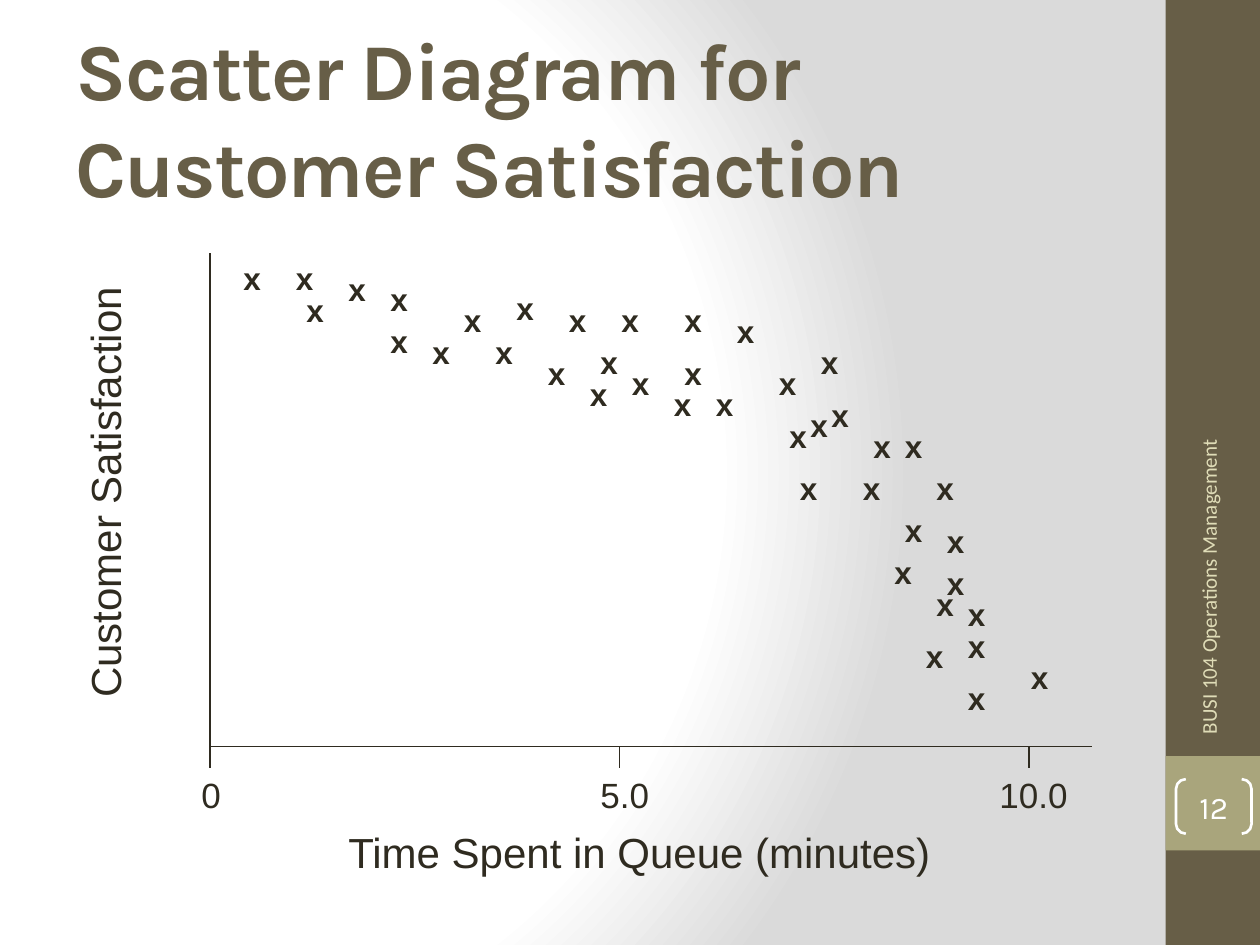
from lxml.etree import SubElement
from pptx import Presentation
from pptx.dml.color import RGBColor
from pptx.enum.shapes import MSO_CONNECTOR as Connector, MSO_SHAPE as Shape
from pptx.enum.text import MSO_ANCHOR as Anchor, MSO_AUTO_SIZE as AutoSize, PP_ALIGN as Align
from pptx.oxml import parse_xml
from pptx.oxml.ns import nsdecls, qn
from pptx.util import Emu, Pt

EMU_PER_PX = 7620
WHITE = RGBColor(0xFF, 0xFF, 0xFF)
GREY = RGBColor(0xDA, 0xDA, 0xDA)
BROWN = RGBColor(0x67, 0x5E, 0x47)
OLIVE = RGBColor(0xA9, 0xA5, 0x7C)
CREAM = RGBColor(0xDF, 0xDC, 0xB7)
INK = RGBColor(0x2F, 0x2B, 0x20)

AXIS_LEFT, AXIS_TOP, AXIS_RIGHT, AXIS_BASE = 200, 241, 1040, 711
TICK_BOTTOM = 731
TICK_LABELS = [("0", 180, 43), ("5.0", 560, 71), ("10.0", 940, 89)]
TICK_STEP = 390
MARKER_ROWS = {
    241: (220, 270), 251: (320,), 261: (360,), 269: (480,), 271: (280,),
    281: (430, 530, 580, 640), 291: (690,), 301: (360,), 311: (400, 460),
    321: (560, 770), 331: (510, 640), 341: (590, 730), 351: (550,),
    361: (630, 670), 371: (780,), 381: (760,), 391: (740,), 401: (820, 850),
    441: (750, 810, 880), 481: (850,), 491: (890,), 521: (840,), 531: (890,),
    551: (880,), 561: (910,), 591: (910,), 601: (870,), 621: (970,), 641: (910,),
}


def px(*lengths):
    return [Emu(length * EMU_PER_PX) for length in lengths]


def write_text(frame, text, *, size, color, font="Arial", bold=False,
               align=Align.LEFT, anchor=Anchor.TOP, spacing=None):
    frame.vertical_anchor = anchor
    paragraph = frame.paragraphs[0]
    paragraph.alignment = align
    run = paragraph.add_run()
    run.text = text
    run.font.name = font
    run.font.size = Pt(size)
    run.font.bold = bold
    run.font.color.rgb = color
    if spacing is not None:
        run.font._element.set("spc", str(spacing * 100))


class SlideBuilder:
    def __init__(self, slide, ink):
        self.slide = slide
        self.ink = ink

    def background(self, inner, outer):
        stops = "".join(
            f'<a:gs pos="{position}"><a:srgbClr val="{color}"/></a:gs>'
            for position, color in ((0, inner), (75000, inner), (100000, outer)))
        self.slide._element.cSld.insert(0, parse_xml(
            f'<p:bg {nsdecls("p", "a")}><p:bgPr><a:gradFill rotWithShape="1">'
            f'<a:gsLst>{stops}</a:gsLst><a:path path="circle">'
            '<a:fillToRect l="20000" t="50000" r="100000" b="50000"/></a:path>'
            '</a:gradFill><a:effectLst/></p:bgPr></p:bg>'))

    def title(self, text, box, **style):
        title = self.slide.shapes.title
        title.left, title.top, title.width, title.height = px(*box)
        title.text_frame.word_wrap = True
        title.text_frame.auto_size = AutoSize.NONE
        write_text(title.text_frame, text, **style)

    def band(self, box, color):
        shape = self.slide.shapes.add_shape(Shape.RECTANGLE, *px(*box))
        shape.shadow.inherit = False
        shape.fill.solid()
        shape.fill.fore_color.rgb = color
        shape.line.fill.background()

    def label(self, text, box, rotation=0, wrap=False, **style):
        shape = self.slide.shapes.add_textbox(*px(*box))
        shape.rotation = rotation
        frame = shape.text_frame
        frame.word_wrap = wrap
        frame.auto_size = AutoSize.NONE if wrap else AutoSize.SHAPE_TO_FIT_TEXT
        write_text(frame, text, **{"color": self.ink, **style})

    def line(self, *ends):
        connector = self.slide.shapes.add_connector(Connector.STRAIGHT, *px(*ends))
        connector.line.color.rgb = self.ink
        connector.line.width = Pt(0.75)
        SubElement(connector._element.spPr, qn("a:effectLst"))

    def page_number(self, text, box, color):
        shape = self.slide.shapes.add_shape(Shape.DOUBLE_BRACKET, *px(*box))
        shape.shadow.inherit = False
        shape.adjustments[0] = 0.18
        shape.fill.background()
        shape.line.color.rgb = color
        shape.line.width = Pt(1.5)
        frame = shape.text_frame
        frame.margin_left = frame.margin_right = frame.margin_top = frame.margin_bottom = 0
        write_text(frame, text, size=18, font="Karla", color=color,
                   align=Align.CENTER, anchor=Anchor.MIDDLE)


def main():
    presentation = Presentation()
    presentation.slide_width, presentation.slide_height = px(1200, 900)
    slide = presentation.slides.add_slide(presentation.slide_layouts[5])
    builder = SlideBuilder(slide, INK)

    builder.background(WHITE, GREY)
    builder.band((1110, 0, 90, 900), BROWN)
    builder.band((1110, 720, 90, 90), OLIVE)
    builder.title("Scatter Diagram for Customer Satisfaction", (60, 36, 1000, 150),
                  size=46, font="Karla", color=BROWN, bold=True,
                  anchor=Anchor.MIDDLE, spacing=-1)
    builder.label("BUSI 104 Operations Management", (931, 467, 440, 48), rotation=270,
                  wrap=True, size=12, font="Calibri", color=CREAM, anchor=Anchor.MIDDLE)

    builder.line(AXIS_LEFT, AXIS_TOP, AXIS_LEFT, TICK_BOTTOM)
    builder.line(AXIS_LEFT, AXIS_BASE, AXIS_RIGHT, AXIS_BASE)
    builder.label("Customer Satisfaction", (-108, 439, 415, 60), rotation=270, size=24)
    builder.label("Time Spent in Queue (minutes)", (320, 781, 581, 60), size=24)
    for index, (text, left, width) in enumerate(TICK_LABELS):
        if index:
            tick = AXIS_LEFT + index * TICK_STEP
            builder.line(tick, AXIS_BASE, tick, TICK_BOTTOM)
        builder.label(text, (left, TICK_BOTTOM, width, 52), size=20)

    for top, lefts in MARKER_ROWS.items():
        for left in lefts:
            builder.label("x", (left, top, 41, 48), size=18, bold=True)

    builder.page_number("12", (1120, 742, 72, 52), WHITE)
    presentation.save("out.pptx")


if __name__ == "__main__":
    main()
